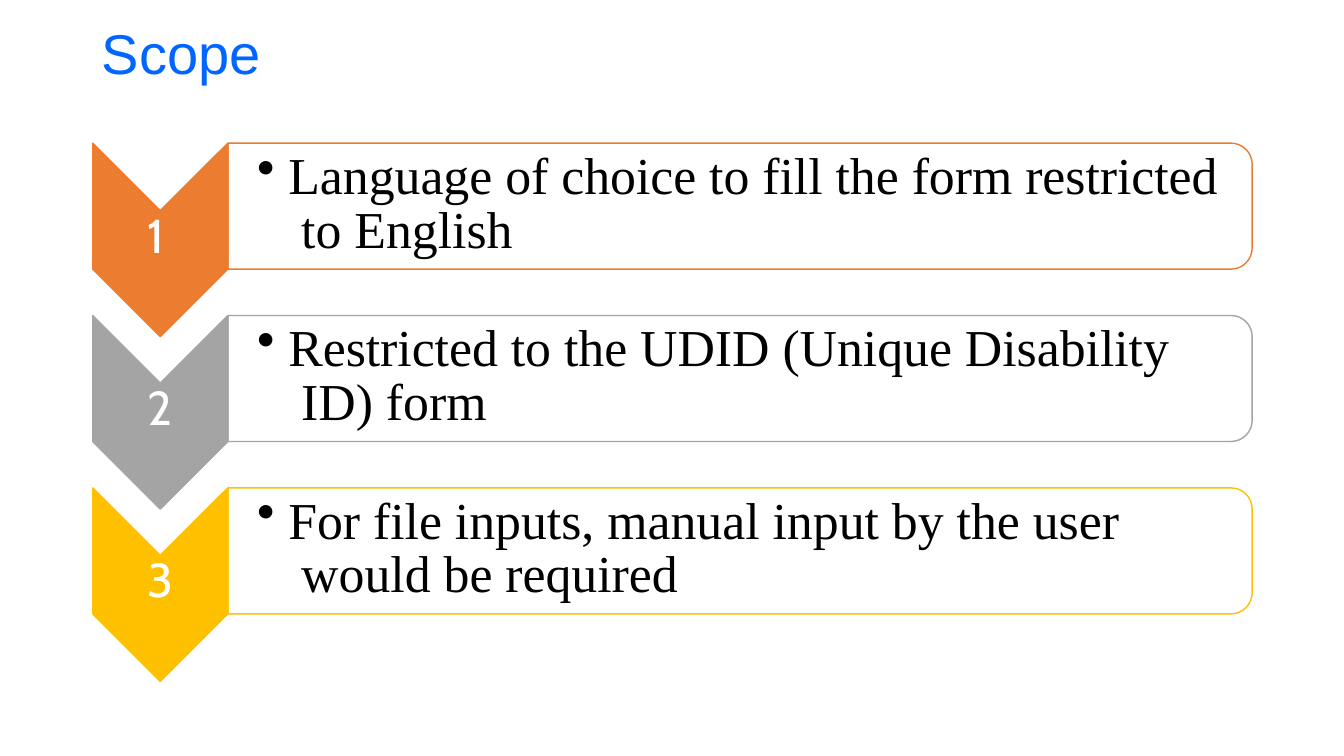
"""Build the Scope slide: three numbered chevrons with outlined text panels."""
from dataclasses import dataclass
from math import cos, pi, sin

from pptx import Presentation
from pptx import util as u
from pptx.dml.color import RGBColor
from pptx.enum import text
from pptx.oxml.ns import qn
from pptx.shapes.autoshape import Shape
from pptx.slide import Slide
from pptx.text.text import _Paragraph

Points = list[tuple[float, float]]


@dataclass(frozen=True)
class TextStyle:
    """Font, size and colour of one kind of text."""
    font: str
    size: float
    color: str


@dataclass(frozen=True)
class Theme:
    """Colours and type sizes of the slide."""
    title: TextStyle = TextStyle("Arial", 40, "0066FF")
    number: TextStyle = TextStyle("Cabin", 34, "FFFFFF")
    body: TextStyle = TextStyle("Times New Roman", 37, "000000")
    line_pt: float = 1
    body_leading: float = 38.3


@dataclass(frozen=True)
class ScopeItem:
    """One numbered row."""
    wording: str
    color: str
    text_width: float


THEME = Theme()
ITEMS = [
    ScopeItem("Language of choice to fill the form restricted\v to English", "EC7C30", 9.57),
    ScopeItem("Restricted to the UDID (Unique Disability\v ID) form", "A4A4A4", 9.09),
    ScopeItem("For file inputs, manual input by the user\v would be required", "FFC000", 8.59),
]
TOP, PITCH = 1.42, 1.71
LEFT, MIDDLE, RIGHT = 0.92, 2.26, 12.42
PANEL_HEIGHT, NOTCH, RADIUS = 1.25, 0.67, 0.21


def set_attrs(target: object, values: dict[str, object]) -> None:
    """Set each named attribute."""
    for name, value in values.items():
        setattr(target, name, value)


def add_text(slide: Slide, box: tuple[float, float, float, float], wording: str,
             style: TextStyle, before: float = 0.9, inset: float = 0.01) -> _Paragraph:
    """Add a styled text box and return its paragraph."""
    tf = slide.shapes.add_textbox(*map(u.Inches, box)).text_frame
    set_attrs(tf, {"margin_left": 0, "margin_right": 0, "margin_bottom": 0,
                   "margin_top": u.Inches(inset), "word_wrap": True,
                   "vertical_anchor": text.MSO_ANCHOR.TOP})
    p = tf.paragraphs[0]
    p.text = wording
    p.space_before = u.Pt(before)
    p._p.get_or_add_pPr().set("marL", str(u.Inches(0.01)))
    for r in p.runs:
        set_attrs(r.font, {"name": style.font, "size": u.Pt(style.size)})
        r.font.color.rgb = RGBColor.from_string(style.color)
    return p


def add_bullet(p: _Paragraph) -> None:
    """Give a paragraph a hanging bullet."""
    p_pr = p._p.get_or_add_pPr()
    p_pr.set("marL", str(u.Inches(0.33)))
    p_pr.set("indent", str(u.Inches(-0.31)))
    p_pr.append(p_pr.makeelement(qn("a:buChar"), {"char": "•"}))


def add_outline(slide: Slide, points: Points, color: str, filled: bool) -> Shape:
    """Draw a closed outline in one colour."""
    start, *rest = [(u.Inches(x), u.Inches(y)) for x, y in points]
    builder = slide.shapes.build_freeform(*start)
    builder.add_line_segments(rest, close=True)
    sp = builder.convert_to_shape()
    sp.shadow.inherit = False
    rgb = RGBColor.from_string(color)
    if filled:
        sp.fill.solid()
        sp.fill.fore_color.rgb = rgb
    else:
        sp.fill.background()
    sp.line.color.rgb = rgb
    sp.line.width = u.Pt(THEME.line_pt)
    return sp


def chevron_points(top: float) -> Points:
    """Return the corners of a downward chevron."""
    center, bottom = (LEFT + MIDDLE) / 2, top + PANEL_HEIGHT
    return [(MIDDLE, top), (center, top + NOTCH), (LEFT, top),
            (LEFT, bottom), (center, bottom + NOTCH), (MIDDLE, bottom)]


def panel_points(top: float, steps: int = 8) -> Points:
    """Return a rectangle outline with rounded right corners."""
    bottom = top + PANEL_HEIGHT
    angles = [pi / 2 * i / steps for i in range(steps + 1)]
    arc = [(RIGHT - RADIUS + RADIUS * sin(a), RADIUS - RADIUS * cos(a)) for a in angles]
    return [(MIDDLE, top), *((x, top + y) for x, y in arc),
            *((x, bottom - y) for x, y in reversed(arc)), (MIDDLE, bottom)]


def add_item(slide: Slide, number: int, item: ScopeItem) -> None:
    """Draw one numbered row."""
    top = TOP + PITCH * (number - 1)
    add_outline(slide, chevron_points(top), item.color, True)
    add_text(slide, (1.45, top + 0.61, 0.27, 0.59), str(number), THEME.number)
    add_outline(slide, panel_points(top), item.color, False)
    p = add_text(slide, (2.53, top - 0.02, item.text_width, 1.18), item.wording,
                 THEME.body, before=7.3, inset=0.1)
    p.line_spacing = u.Pt(THEME.body_leading)
    add_bullet(p)


def main() -> None:
    """Build and save the slide."""
    prs = Presentation()
    set_attrs(prs, {"slide_width": u.Inches(13.33), "slide_height": u.Inches(7.5)})
    slide = prs.slides.add_slide(prs.slide_layouts[6])
    add_text(slide, (1, 0.17, 1.66, 0.69), "Scope", THEME.title)
    for number, item in enumerate(ITEMS, 1):
        add_item(slide, number, item)
    prs.save("out.pptx")


if __name__ == "__main__":
    main()
